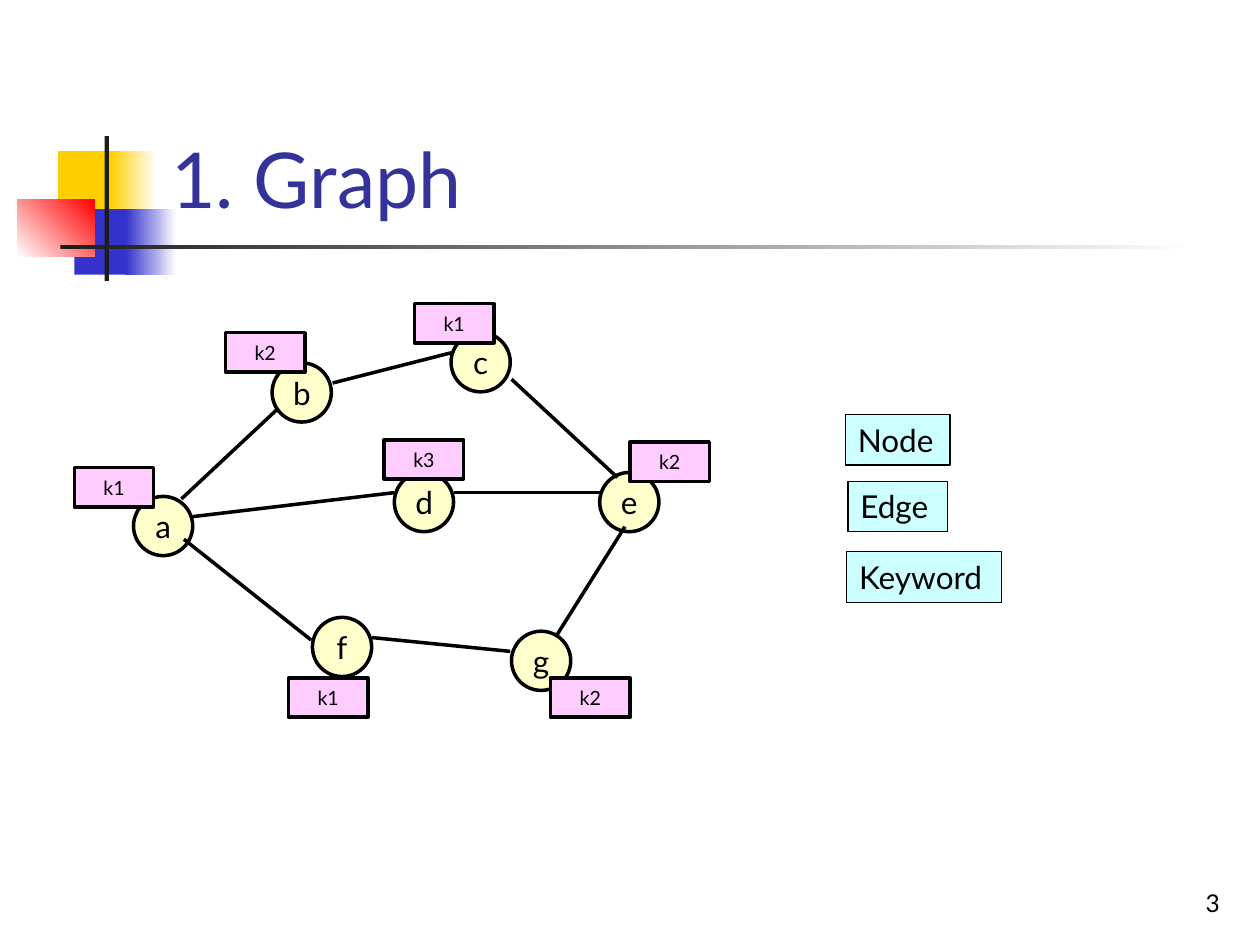
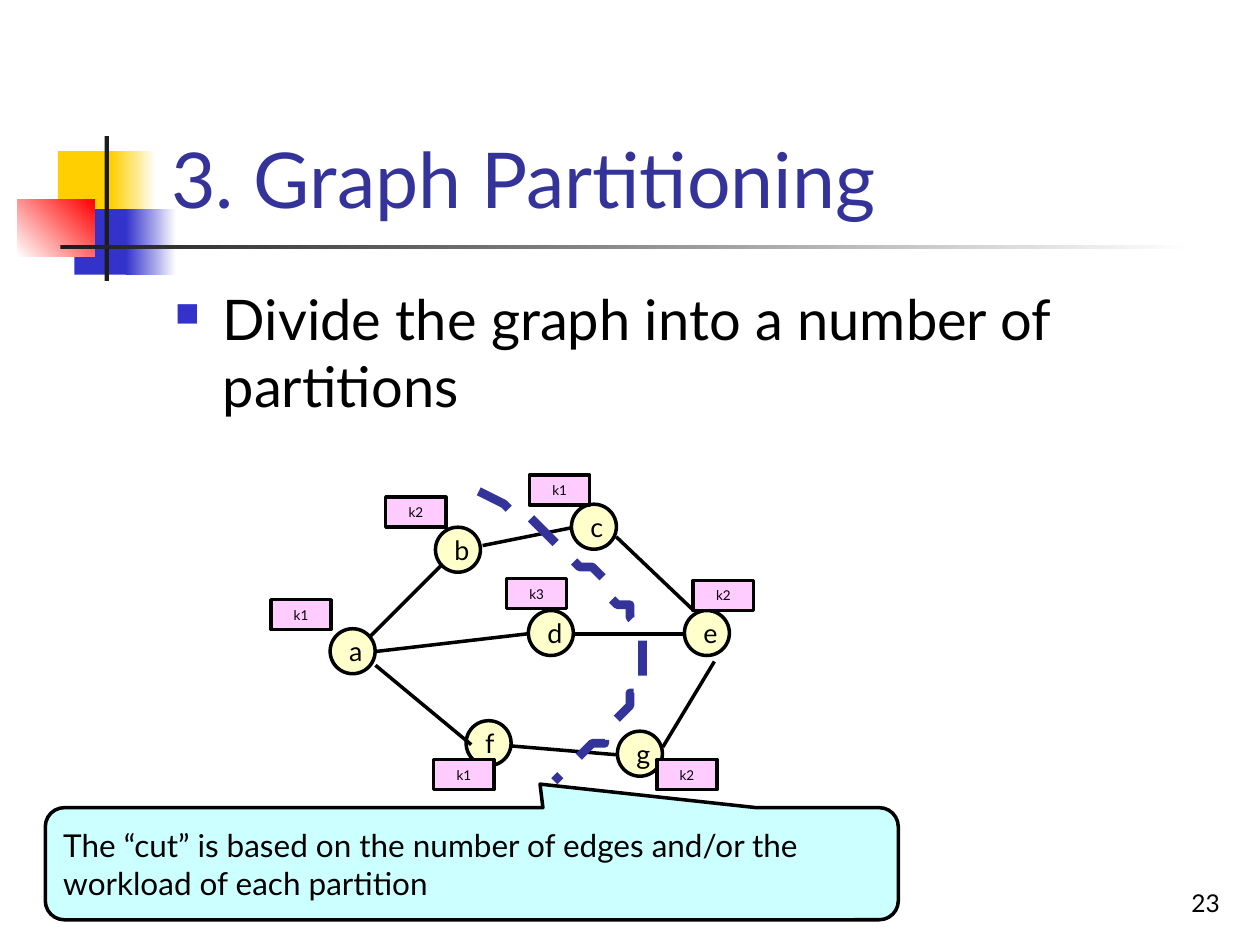
from dataclasses import dataclass, field
from lxml import etree
from pptx import Presentation
from pptx.dml.color import RGBColor
from pptx.enum.dml import MSO_LINE as Dash
from pptx.enum.shapes import MSO_CONNECTOR as Link, MSO_SHAPE as Kind
from pptx.enum.text import MSO_ANCHOR as Anchor, MSO_AUTO_SIZE as Fit, PP_ALIGN as Align
from pptx.oxml.ns import qn
from pptx.util import Emu, Inches, Pt

COLS, ROWS = 100, 75  # square grid cells across and down the slide
CELL = Inches(0.1)
FONT = "Lato"
BLACK, WHITE, NAVY, BLUE = "000000", "FFFFFF", "333399", "3333CC"
GOLD, RED, DARK = "FFCF01", "FF0000", "1C1C1C"
CREAM, PINK, AQUA = "FFFFCC", "FFCCFF", "CCFFFF"

Point = tuple[float, float]
Edge = tuple[Point, Point]


@dataclass(frozen=True)
class Box:
    """A place in grid cells."""
    x: float
    y: float
    w: float
    h: float

    def emu(self) -> list[Emu]:
        return [cells(v) for v in (self.x, self.y, self.w, self.h)]


@dataclass(frozen=True)
class Style:
    size: float
    color: str = BLACK
    align: Align = Align.LEFT
    anchor: Anchor = Anchor.TOP
    wrap: bool = True
    fit: Fit = Fit.NONE


@dataclass(frozen=True)
class Band:
    """A master block; with an end colour it fades along the angle."""
    box: Box
    start: str
    end: str = ""
    angle: float = 0


@dataclass(frozen=True)
class Spot:
    """A node, with its place and its keyword's, both in graph cells."""
    name: str
    at: Point
    word: str
    tag: Point


@dataclass(frozen=True)
class Plot:
    """How the shared graph is laid on one slide."""
    node: Point
    tag: Point
    scale: float
    big: float
    small: float
    edges: list[Edge]
    slip: dict[str, float] = field(default_factory=dict)


BANDS = [
    Band(Box(4.6, 12, 4.8, 5.2), GOLD),
    Band(Box(8.8, 12, 3.6, 5.2), GOLD, WHITE),
    Band(Box(5.9, 16.6, 4.6, 5.2), BLUE),
    Band(Box(10, 16.6, 4, 5.2), BLUE, WHITE),
    Band(Box(1.4, 15.8, 6.1, 4.6), WHITE, RED, 45),
    Band(Box(8.3, 10.8, 0.35, 11.5), DARK),
    Band(Box(4.8, 19.45, 90, 0.35), DARK, WHITE),
]

# Node places count from node a, keyword places from its keyword.
SPOTS = [
    Spot("a", (0, 0), "k1", (0, 0)),
    Spot("b", (11, -10.6), "k2", (12, -10.7)),
    Spot("c", (25.2, -13), "k1", (27, -13)),
    Spot("d", (20.7, -1.9), "k3", (24.6, -2.2)),
    Spot("e", (37, -1.9), "k2", (44.1, -2)),
    Spot("f", (14.2, 9.6), "k1", (17, 16.7)),
    Spot("g", (30, 10.7), "k2", (37.8, 16.7)),
]

LARGE = Plot((10.6, 39.4), (5.9, 37.1), 1, 18, 11.2, [
    ((14.4, 39.6), (22.1, 32.4)),
    ((26.4, 30.4), (35.8, 28)),
    ((40.6, 30.1), (49, 37.9)),
    ((15.3, 41), (31.3, 39.1)),
    ((36, 39.1), (47.6, 39.1)),
    ((14.6, 42.8), (24.7, 50.8)),
    ((29.5, 50.6), (40.5, 51.7)),
    ((44.2, 50.4), (49.6, 41.8)),
])
COMPACT = Plot((26.2, 49.9), (21.5, 47.6), 0.76, 15.3, 7.7, [
    ((29.3, 50.6), (35.1, 44.8)),
    ((38.3, 43.3), (45.3, 41.9)),
    ((48.9, 42.6), (55.1, 48.5)),
    ((29.9, 51.7), (41.9, 50.3)),
    ((45.6, 50.3), (54.3, 50.3)),
    ((29.8, 52.8), (37.4, 59.1)),
    ((40.5, 59.2), (48.9, 59.9)),
    ((52.6, 59.3), (56.7, 52.5)),
], {"g": 1.9})

LEGEND = {
    "Node": Box(67.1, 32.9, 8.3, 4),
    "Edge": Box(67.3, 38.2, 7.9, 4),
    "Keyword": Box(67.2, 43.8, 12.3, 4),
}
CUT = [
    [(38.5, 39.1), (44.5, 43.3), (50.5, 47.5), (51.3, 51.4)],
    [(51.3, 51.4), (52.1, 55.2), (45, 60.9), (43.5, 62.3)],
]


def cells(n: float) -> Emu:
    return Emu(round(n * CELL))


def rgb(code: str) -> RGBColor:
    return RGBColor.from_string(code)


def write(shape, runs: list[str], style: Style):
    frame = shape.text_frame
    frame.auto_size = style.fit
    frame.word_wrap = style.wrap
    frame.vertical_anchor = style.anchor
    para = frame.paragraphs[0]
    para.alignment = style.align
    for text in runs:
        run = para.add_run()
        run.text = text
        font = run.font
        font.name, font.size = FONT, Pt(style.size)
        font.color.rgb = rgb(style.color)
    return para


def draw(slide, kind: Kind, box: Box, fill: str, width: float = 0):
    """Add a flat shape, outlined in black when a width is given."""
    shape = slide.shapes.add_shape(kind, *box.emu())
    shape.shadow.inherit = False
    shape.fill.solid()
    shape.fill.fore_color.rgb = rgb(fill)
    if width:
        shape.line.color.rgb = rgb(BLACK)
        shape.line.width = Pt(width)
    else:
        shape.line.fill.background()
    return shape


def label(slide, box: Box, text: str, style: Style):
    area = slide.shapes.add_textbox(*box.emu())
    return write(area, [text], style)


def fade(shape, band: Band) -> None:
    shape.fill.gradient()
    shape.fill.gradient_angle = band.angle
    for stop, code in zip(shape.fill.gradient_stops, (band.start, band.end)):
        stop.color.rgb = rgb(code)


def start(deck, title: str, number: int):
    """Add a slide with the shared bands, title and page number."""
    slide = deck.slides.add_slide(deck.slide_layouts[5])
    for band in BANDS:
        shape = draw(slide, Kind.RECTANGLE, band.box, band.start)
        if band.end:
            fade(shape, band)
    head = slide.shapes.title
    head.left, head.top, head.width, head.height = Box(12.6, 2.3, 85.2, 16).emu()
    write(head, [title], Style(44, NAVY, anchor=Anchor.BOTTOM))
    shape.element.addnext(head.element)
    label(slide, Box(77, 68.3, 20.8, 5), str(number),
          Style(14, align=Align.RIGHT, anchor=Anchor.BOTTOM))
    return slide


def join(slide, edge: Edge) -> None:
    ends = [cells(v) for point in edge for v in point]
    line = slide.shapes.add_connector(Link.STRAIGHT, *ends)
    line.line.color.rgb = rgb(BLACK)
    line.line.width = Pt(2)
    etree.SubElement(line.element.spPr, qn("a:effectLst"))


def place(base: Point, step: Point, scale: float, w: float, h: float) -> Box:
    x, y = (b + s * scale for b, s in zip(base, step))
    return Box(x, y, w * scale, h * scale)


def graph(slide, plot: Plot) -> None:
    big, small = (Style(size, align=Align.CENTER, anchor=Anchor.MIDDLE)
                  for size in (plot.big, plot.small))
    for spot in SPOTS:
        box = place(plot.node, spot.at, plot.scale, 4.7, 4.7)
        write(draw(slide, Kind.OVAL, box, CREAM, 2), [spot.name], big)
    for edge in plot.edges:
        join(slide, edge)
    for spot in SPOTS:
        base = (plot.tag[0] + plot.slip.get(spot.name, 0), plot.tag[1])
        box = place(base, spot.tag, plot.scale, 6.3, 3.13)
        write(draw(slide, Kind.RECTANGLE, box, PINK, 2), [spot.word], small)


def bullet(para, indent: float) -> None:
    """Hang a small blue square before the paragraph."""
    props = para._p.get_or_add_pPr()
    props.set("marL", str(cells(indent)))
    props.set("indent", str(-cells(indent)))
    color = etree.SubElement(props, qn("a:buClr"))
    etree.SubElement(color, qn("a:srgbClr"), val=BLUE)
    etree.SubElement(props, qn("a:buSzPct"), val="60000")
    etree.SubElement(props, qn("a:buChar"), char="■")


def curve(knots: list[Point], steps: int = 16) -> list[Point]:
    """Points along a cubic curve, after its first knot."""
    def at(t: float) -> Point:
        u = 1 - t
        parts = (u ** 3, 3 * u * u * t, 3 * u * t * t, t ** 3)
        x, y = (sum(p * k[i] for p, k in zip(parts, knots)) for i in (0, 1))
        return x, y
    return [at(n / steps) for n in range(1, steps + 1)]


def cut(slide) -> None:
    pen = slide.shapes.build_freeform(*CUT[0][0], scale=float(CELL))
    pen.add_line_segments([p for knots in CUT for p in curve(knots)], close=False)
    shape = pen.convert_to_shape()
    shape.shadow.inherit = False
    shape.fill.background()
    shape.line.color.rgb = rgb(NAVY)
    shape.line.width = Pt(5)
    shape.line.dash_style = Dash.DASH


def basics(deck) -> None:
    slide = start(deck, "1. Graph", 3)
    graph(slide, LARGE)
    style = Style(18, wrap=False, fit=Fit.SHAPE_TO_FIT_TEXT)
    for text, box in LEGEND.items():
        write(draw(slide, Kind.RECTANGLE, box, AQUA, 0.75), [text], style)


def split(deck) -> None:
    slide = start(deck, "3. Graph Partitioning", 23)
    para = label(slide, Box(12.9, 22.1, 85, 45),
                 "Divide the graph into a number of partitions", Style(32))
    bullet(para, 3.8)
    graph(slide, COMPACT)
    cut(slide)
    note = draw(slide, Kind.ROUNDED_RECTANGULAR_CALLOUT,
                Box(3.6, 64.1, 67.7, 8.9), AQUA, 2)
    for i, value in enumerate((0.08, -0.71, 0.17)):
        note.adjustments[i] = value
    write(note, ["The “cut” is based on the number of edges and/or the "
                 "workload of each partition"], Style(18, anchor=Anchor.MIDDLE))


def main() -> None:
    deck = Presentation()
    deck.slide_width, deck.slide_height = cells(COLS), cells(ROWS)
    basics(deck)
    split(deck)
    deck.save("out.pptx")


if __name__ == "__main__":
    main()
